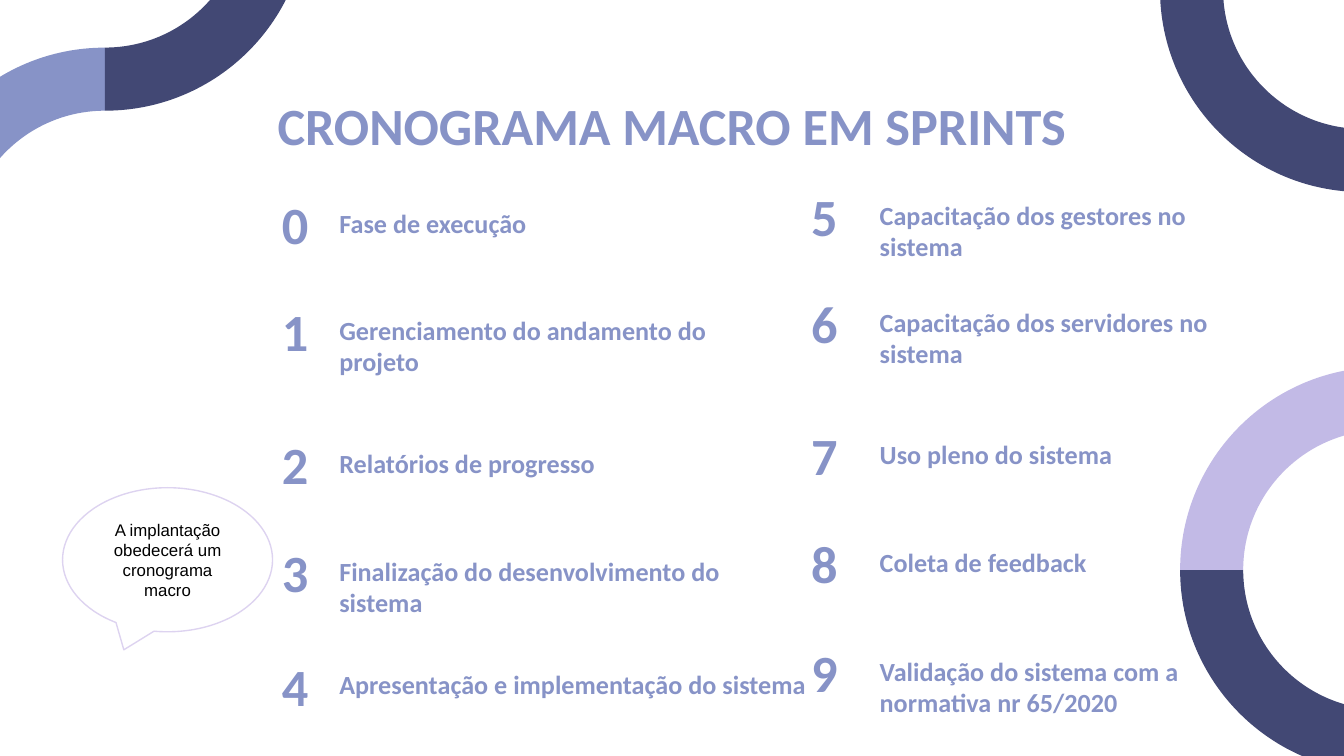
from math import cos, radians, sin

from lxml import etree
from pptx import Presentation
from pptx.dml.color import RGBColor
from pptx.enum.shapes import MSO_SHAPE as Shape
from pptx.enum.text import MSO_ANCHOR as Anchor, PP_ALIGN as Align
from pptx.oxml.ns import qn
from pptx.util import Pt

BLUE, NAVY, LILAC, PALE = "8793C7", "424874", "C2BAE6", "DDD3F0"
OUTER, INNER = 108.7, 74.9
KAPPA = 0.5523  # handle length of a quarter circle, as a share of its radius

# centre x, centre y, start angle of the quarter (clockwise from the right), colour
RINGS = [
    (56.2, 134.2, 180, BLUE),
    (56.2, -49.4, 0, NAVY),
    (740.9, 305.3, 90, NAVY),
    (740.9, 305.3, 180, LILAC),
    (730.1, -5.8, 90, NAVY),
]

# top of the number, label, label width
FIRST_SPRINTS = [
    (90.5, "Fase de execução", 224.6),
    (148.1, "Gerenciamento do andamento do projeto", 224.6),
    (219.1, "Relatórios de progresso", 224.6),
    (277.2, "Finalização do desenvolvimento do sistema", 249.1),
    (337.9, "Apresentação e implementação do sistema", 278.6),
]
LAST_SPRINTS = [
    (86.2, "Capacitação dos gestores no sistema", 224.6),
    (143.5, "Capacitação dos servidores no sistema", 224.6),
    (214.6, "Uso pleno do sistema", 224.6),
    (272.2, "Coleta de feedback", 249.1),
    (330.5, "Validação do sistema com a normativa nr 65/2020", 209.5),
]


def color(value):
    return RGBColor.from_string(value)


def write(shape, text, size, ink=BLUE, font="Calibri", bold=True,
          align=Align.LEFT, anchor=Anchor.TOP):
    frame = shape.text_frame
    frame.word_wrap = True
    frame.vertical_anchor = anchor
    frame.margin_left = frame.margin_right = Pt(7.2)
    frame.margin_top = frame.margin_bottom = Pt(7.2)
    frame.text = text
    para = frame.paragraphs[0]
    para.alignment = align
    for span in para.runs:
        span.font.name = font
        span.font.size = Pt(size)
        span.font.bold = bold
        span.font.color.rgb = color(ink)


def add_text(page, box, text, size, **style):
    shape = page.shapes.add_textbox(*map(Pt, box))
    write(shape, text, size, **style)


def merge_into_curve(lines):
    """Turn three line segments into one Bézier curve through their points."""
    curve = etree.Element(qn("a:cubicBezTo"))
    lines[0].addprevious(curve)
    for line in lines:
        curve.append(line[0])
        line.getparent().remove(line)


def add_quarter_ring(page, center_x, center_y, start, fill):
    first, last = radians(start), radians(start + 90)

    def arc(radius):
        weights = [(1, 0), (1, KAPPA), (KAPPA, 1), (0, 1)]
        return [(Pt(center_x + radius * (a * cos(first) + b * cos(last))),
                 Pt(center_y + radius * (a * sin(first) + b * sin(last))))
                for a, b in weights]

    points = arc(OUTER) + arc(INNER)[::-1]
    builder = page.shapes.build_freeform(*points[0])
    builder.add_line_segments(points[1:], close=True)
    ring = builder.convert_to_shape()
    lines = list(ring.element.iter(qn("a:lnTo")))
    merge_into_curve(lines[:3])
    merge_into_curve(lines[4:7])
    ring.shadow.inherit = False
    ring.fill.solid()
    ring.fill.fore_color.rgb = color(fill)
    ring.line.fill.background()


def add_sprint_column(page, left, label_left, first_number, sprints):
    for number, (top, label, width) in enumerate(sprints, first_number):
        add_text(page, (label_left, top + 13.2, width, 31.7), label, 14)
        add_text(page, (left, top, 60.5, 58.3), str(number), 28,
                 anchor=Anchor.MIDDLE)


def add_callout(page, box, text):
    bubble = page.shapes.add_shape(Shape.OVAL_CALLOUT, *map(Pt, box))
    bubble.adjustments[0], bubble.adjustments[1] = -0.208, 0.625
    bubble.shadow.inherit = False
    bubble.fill.background()
    bubble.line.color.rgb = color(PALE)
    bubble.line.width = Pt(0.75)
    write(bubble, text, 9, ink="000000", font="Arial", bold=False,
          align=Align.CENTER, anchor=Anchor.MIDDLE)


def main():
    deck = Presentation()
    deck.slide_width, deck.slide_height = Pt(720), Pt(405)
    page = deck.slides.add_slide(deck.slide_layouts[6])
    for ring in RINGS:
        add_quarter_ring(page, *ring)
    add_text(page, (56, 42.5, 607.6, 37.4), "CRONOGRAMA MACRO EM SPRINTS", 28,
             align=Align.CENTER)
    add_sprint_column(page, 144, 174.7, 0, FIRST_SPRINTS)
    add_sprint_column(page, 427.5, 464.2, 5, LAST_SPRINTS)
    add_callout(page, (33.5, 261.3, 112.5, 77.2),
                "A implantação obedecerá um cronograma macro")
    deck.save("out.pptx")


if __name__ == "__main__":
    main()
